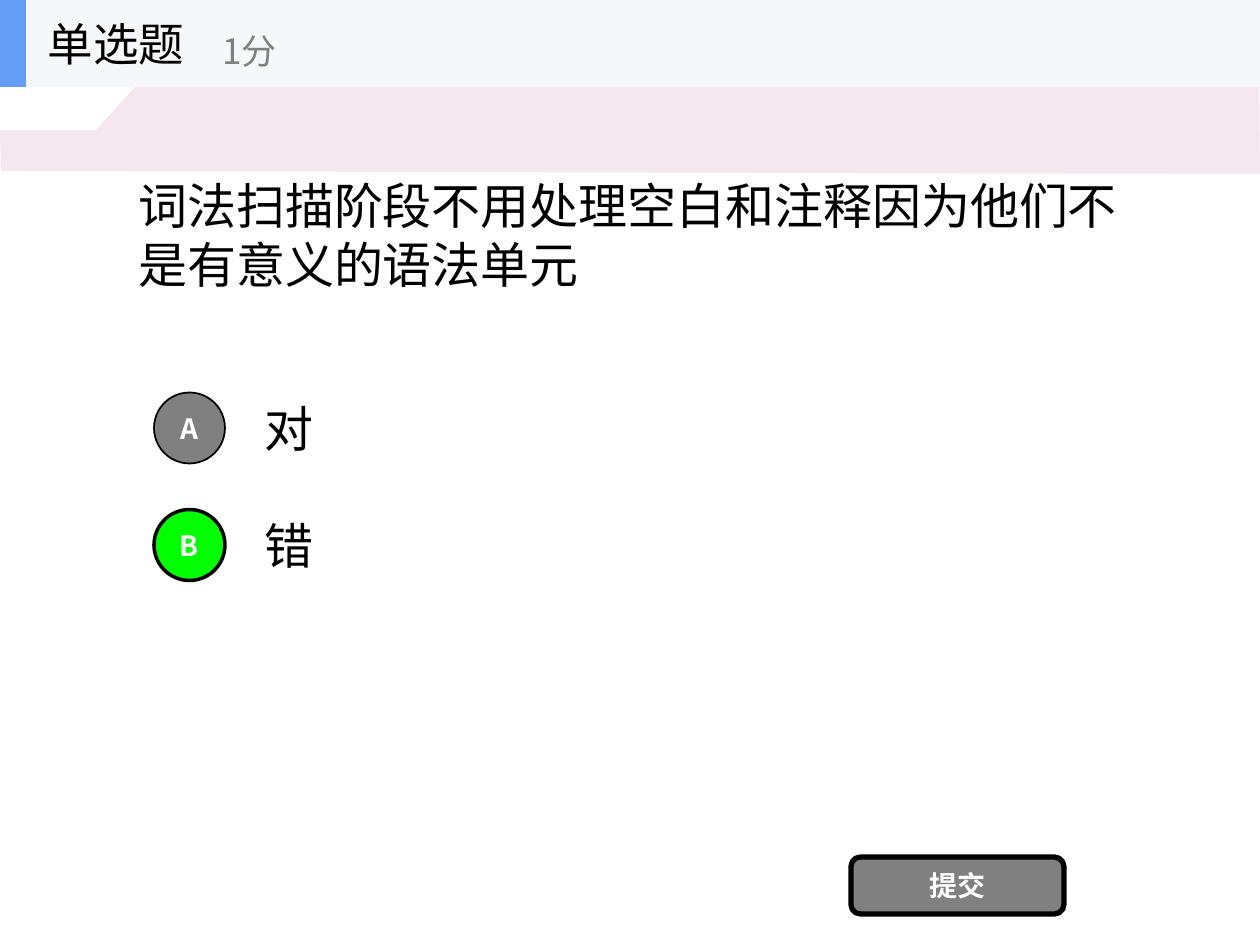
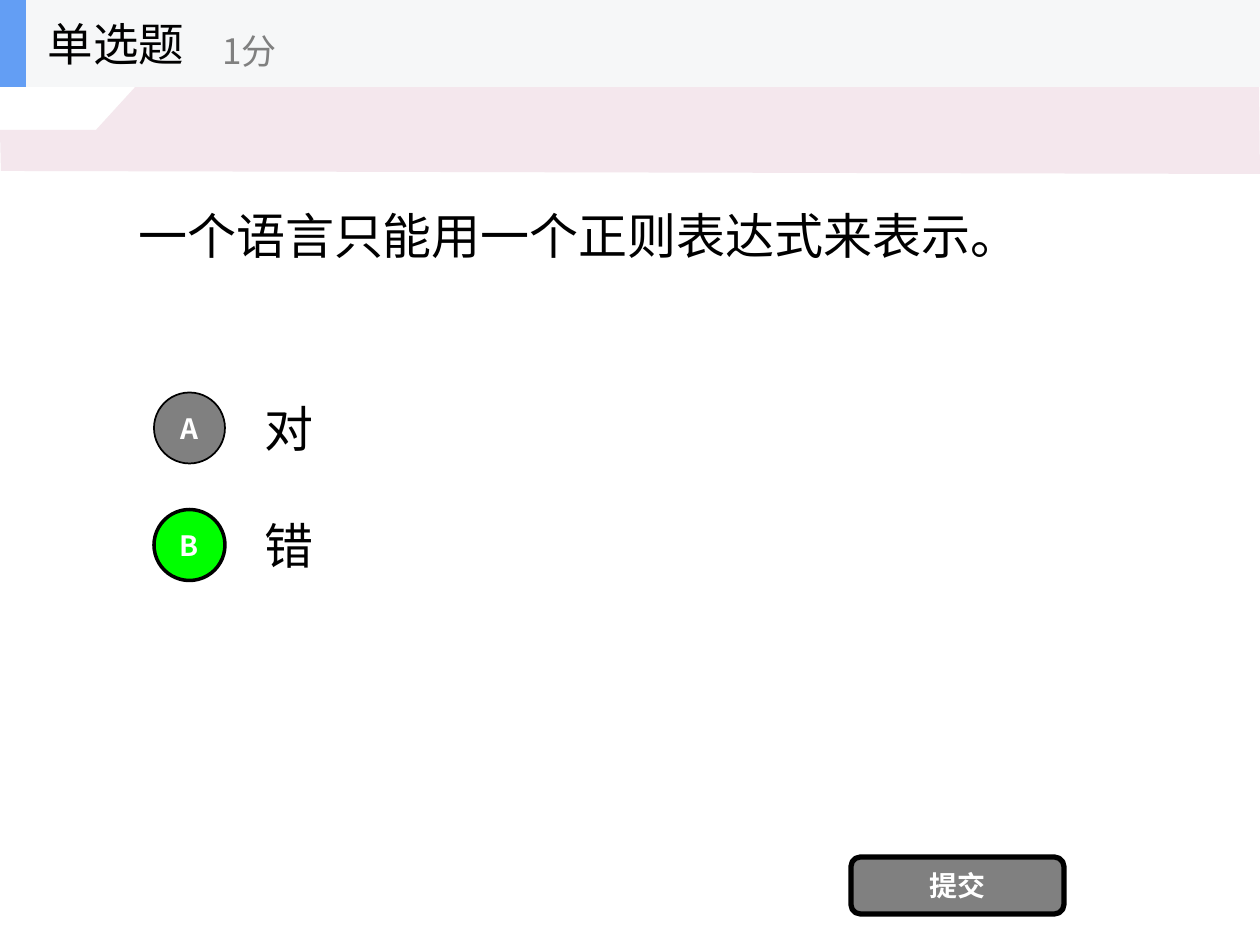
from dataclasses import dataclass

from lxml.etree import SubElement
from pptx import Presentation
from pptx.dml.color import RGBColor
from pptx.enum.shapes import MSO_SHAPE
from pptx.enum.text import MSO_ANCHOR, MSO_AUTO_SIZE, PP_ALIGN
from pptx.oxml.ns import qn
from pptx.util import Pt

EMU_PER_PX = 914400 / 126
TITLE_ONLY = 5


@dataclass(frozen=True)
class Theme:
    font: str = "Noto Sans CJK SC"
    ink: str = "000000"
    grey: str = "808080"
    white: str = "FFFFFF"
    correct: str = "00FF00"
    header: str = "F6F7F8"
    accent: str = "639EF4"
    band: str = "F4E7ED"
    title_size: int = 26
    score_size: int = 20
    body_size: int = 28
    button_size: int = 16


THEME = Theme()

BAND_OUTLINE = [(0, 130), (96, 130), (170, 49), (472, 49),
                (495, 76), (1259, 74), (1260, 174), (1, 171)]
HEADER_BOX = (0, 0, 1260, 87)
QUESTION_BOX = (126, 87, 1008, 295)
OPTIONS_BOX = (154, 384, 980, 205)
SUBMIT_BOX = (851, 857, 213, 57)

# Each question: text, options, index of the correct option
QUESTIONS = [
    ("词法扫描阶段不用处理空白和注释因为他们不是有意义的语法单元", ["对", "错"], 1),
    ("一个语言只能用一个正则表达式来表示。", ["对", "错"], 1),
]


def px(length):
    return round(length * EMU_PER_PX)


def place(box):
    return [px(length) for length in box]


def write(shape, text, size, color, bold=False, align=PP_ALIGN.LEFT):
    frame = shape.text_frame
    frame.text = text
    frame.word_wrap = True
    frame.auto_size = MSO_AUTO_SIZE.NONE
    frame.vertical_anchor = MSO_ANCHOR.MIDDLE
    paragraph = frame.paragraphs[0]
    paragraph.alignment = align
    font = paragraph.font
    font.size = Pt(size)
    font.bold = bold
    font.color.rgb = RGBColor.from_string(color)
    font.name = THEME.font
    # East Asian typeface
    properties = paragraph._p.pPr.find(qn("a:defRPr"))
    SubElement(properties, qn("a:ea"), typeface=THEME.font)


def add_text(slide, box, text, size, color):
    write(slide.shapes.add_textbox(*place(box)), text, size, color)


def paint(shape, fill, line_width=0):
    shape.shadow.inherit = False
    shape.fill.solid()
    shape.fill.fore_color.rgb = RGBColor.from_string(fill)
    if line_width:
        shape.line.color.rgb = RGBColor.from_string(THEME.ink)
        shape.line.width = Pt(line_width)
    else:
        shape.line.fill.background()


def add_block(slide, kind, box, fill, line_width=0):
    shape = slide.shapes.add_shape(kind, *place(box))
    paint(shape, fill, line_width)
    return shape


def add_button(slide, kind, box, text, fill, line_width):
    button = add_block(slide, kind, box, fill, line_width)
    frame = button.text_frame
    frame.margin_left = frame.margin_right = 0
    frame.margin_top = frame.margin_bottom = 0
    write(button, text, THEME.button_size, THEME.white, True, PP_ALIGN.CENTER)


def add_band(slide):
    builder = slide.shapes.build_freeform(*BAND_OUTLINE[0], scale=EMU_PER_PX)
    builder.add_line_segments(BAND_OUTLINE[1:], close=True)
    paint(builder.convert_to_shape(), THEME.band)


def add_header(slide, box, title_text, score):
    left, top, width, height = box
    add_block(slide, MSO_SHAPE.RECTANGLE, box, THEME.header)
    accent = add_block(slide, MSO_SHAPE.RECTANGLE, (left, top, 26, height), THEME.accent)
    # The title sits in front of the header strip
    title = slide.shapes.title
    title.left, title.top, title.width, title.height = place((left + 35, top, 262, height))
    write(title, title_text, THEME.title_size, THEME.ink)
    accent.element.addnext(title.element)
    add_text(slide, (left + 210, top + 15, 315, 71), score, THEME.score_size, THEME.grey)


def add_options(slide, box, options, correct):
    left, top, width, _ = box
    row_height, pitch, diameter, indent = 88, 117, 71, 98
    for index, option in enumerate(options):
        row_top = top + index * pitch
        add_text(slide, (left + indent, row_top, width - indent, row_height),
                 option, THEME.body_size, THEME.ink)
        is_correct = index == correct
        marker_top = row_top + (row_height - diameter) / 2
        add_button(slide, MSO_SHAPE.OVAL, (left, marker_top, diameter, diameter),
                   "ABCDEF"[index], THEME.correct if is_correct else THEME.grey,
                   2 if is_correct else 1)


def add_question_slide(presentation, question, options, correct):
    slide = presentation.slides.add_slide(presentation.slide_layouts[TITLE_ONLY])
    add_band(slide)
    add_text(slide, QUESTION_BOX, question, THEME.body_size, THEME.ink)
    add_options(slide, OPTIONS_BOX, options, correct)
    add_button(slide, MSO_SHAPE.ROUNDED_RECTANGLE, SUBMIT_BOX, "提交", THEME.grey, 3)
    add_header(slide, HEADER_BOX, "单选题", "1分")


def main():
    presentation = Presentation()
    presentation.slide_width, presentation.slide_height = px(1260), px(945)
    for question, options, correct in QUESTIONS:
        add_question_slide(presentation, question, options, correct)
    presentation.save("out.pptx")


if __name__ == "__main__":
    main()
